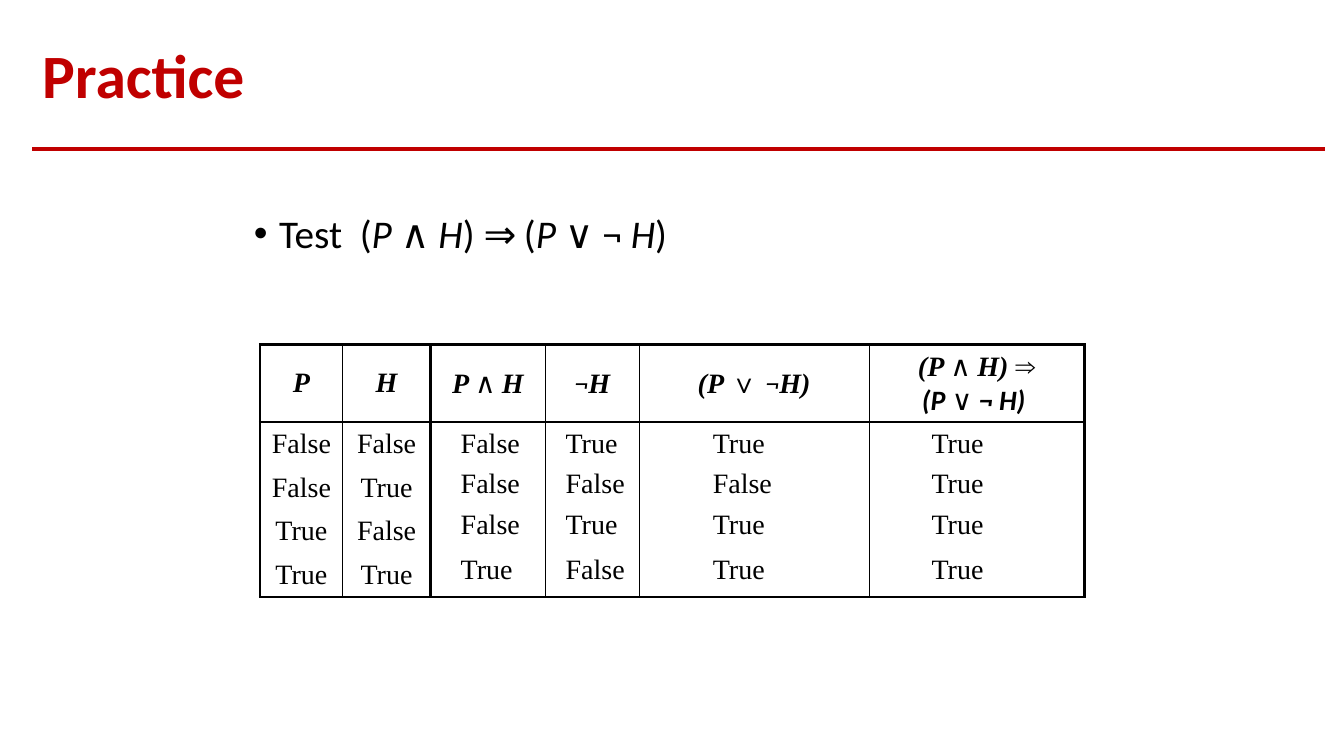
"""Build the slide with the truth table practice for an implication."""
from lxml.etree import SubElement
from pptx import Presentation
from pptx.dml.color import RGBColor
from pptx.enum.shapes import MSO_CONNECTOR
from pptx.enum.text import MSO_ANCHOR, PP_ALIGN
from pptx.oxml.ns import qn
from pptx.util import Inches, Pt

RED = RGBColor(0xC0, 0x00, 0x00)
BLACK = RGBColor(0x00, 0x00, 0x00)
SANS, SERIF = "Calibri", "Times New Roman"

PLAIN = {"bold": False}
SANS_PLAIN = {"font": SANS, "bold": False}
SANS_BOLD = {"font": SANS, "bold": True}
VARIABLE = {"italic": True}

TITLE = "Practice"
EXERCISE = [
    ("Test", {}), (" ", {"tracking": 6.3}), ("(", {}), ("P", VARIABLE), (" ∧ ", {}),
    ("H", VARIABLE), (") ⇒", {}), (" ", {"size": 24}), ("(", {}), ("P ", VARIABLE),
    ("∨ ¬ ", {}), ("H", VARIABLE), (")", {}),
]
HEADINGS = [
    [("P", {})],
    [("H", {})],
    [("P ", {}), ("∧ ", SANS_PLAIN), ("H", {})],
    [("¬", SANS_PLAIN), ("H", {})],
    [("(P ", {}), ("∨ ", PLAIN), ("¬", SANS_PLAIN), ("H)", {})],
    [("(P ", {}), ("∧ ", SANS_PLAIN), ("H) ", {}), ("⇒", PLAIN), ("\n", {}),
     ("(P ", SANS_BOLD), ("∨ ", SANS_PLAIN), ("¬ H) ", SANS_BOLD)],
]
INPUTS = [("False", "False"), ("False", "True"), ("True", "False"), ("True", "True")]
ANSWERS = {
    4.33: ["False", "False", "False", "True"],
    5.37: ["True", "False", "True", "False"],
    6.83: ["True", "False", "True", "True"],
    9.0: ["True", "True", "True", "True"],
}
ANSWER_TOPS = [4.17, 4.57, 4.98, 5.42]
ANSWER_INDENT = 0.24

COLUMN_WIDTHS = [0.82, 0.87, 1.14, 0.93, 2.28, 2.14]
ROW_HEIGHTS = [0.76] + [0.43] * len(INPUTS)
VERTICAL_RULES = [2.25, 0.75, 3, 0.75, 0.75, 0.75, 2.25]
HORIZONTAL_RULES = [2.25, 1, 0, 0, 0, 2.25]


def write(frame, text, *, size=20, font=SERIF, color=BLACK, bold=False, italic=False,
          align=PP_ALIGN.LEFT, line_spacing=None, bullet=None):
    """Write a string or a list of (text, format) runs into the first paragraph."""
    paragraph = frame.paragraphs[0]
    paragraph.alignment = align
    paragraph.line_spacing = line_spacing
    if bullet:
        properties = paragraph._p.get_or_add_pPr()
        properties.set("marL", str(Inches(0.25)))
        properties.set("indent", str(Inches(-0.25)))
        SubElement(properties, qn("a:buFont"), typeface="Arial")
        SubElement(properties, qn("a:buChar"), char=bullet)
    for words, style in [(text, {})] if isinstance(text, str) else text:
        if words == "\n":
            paragraph.add_line_break()
            continue
        run = paragraph.add_run()
        run.text = words
        run.font.size = Pt(style.get("size", size))
        run.font.name = style.get("font", font)
        run.font.bold = style.get("bold", bold)
        run.font.italic = style.get("italic", italic)
        run.font.color.rgb = color
        if "tracking" in style:
            run.font._element.set("spc", str(round(style["tracking"] * 100)))


def add_text(slide, box, text, *, anchor=MSO_ANCHOR.TOP, left_inset=0.1, **style):
    """Place a wrapping text box and write into it."""
    frame = slide.shapes.add_textbox(*map(Inches, box)).text_frame
    frame.word_wrap = True
    frame.vertical_anchor = anchor
    frame.margin_left = Inches(left_inset)
    write(frame, text, **style)


def rule_cell(cell, widths):
    """Draw the left, right, top and bottom borders of a cell."""
    properties = cell._tc.get_or_add_tcPr()
    for side, width in zip("LRTB", widths):
        line = SubElement(properties, qn(f"a:ln{side}"), w=str(Pt(width)))
        if width:
            fill = SubElement(line, qn("a:solidFill"))
            SubElement(fill, qn("a:srgbClr"), val=str(BLACK))
        else:
            SubElement(line, qn("a:noFill"))


def add_truth_table(slide):
    """Add the ruled grid with its headings and input values."""
    table = slide.shapes.add_table(
        len(ROW_HEIGHTS), len(COLUMN_WIDTHS), Inches(2.58), Inches(3.42),
        Inches(sum(COLUMN_WIDTHS)), Inches(sum(ROW_HEIGHTS))).table
    table.first_row = table.horz_banding = False
    for column, width in zip(table.columns, COLUMN_WIDTHS):
        column.width = Inches(width)
    for r, height in enumerate(ROW_HEIGHTS):
        table.rows[r].height = Inches(height)
        for c in range(len(COLUMN_WIDTHS)):
            cell = table.cell(r, c)
            rule_cell(cell, VERTICAL_RULES[c:c + 2] + HORIZONTAL_RULES[r:r + 2])
            cell.fill.background()
            cell.vertical_anchor = MSO_ANCHOR.MIDDLE
            if r == 0:
                write(cell.text_frame, HEADINGS[c], bold=True, italic=True,
                      align=PP_ALIGN.CENTER)
            elif c < len(INPUTS[r - 1]):
                write(cell.text_frame, INPUTS[r - 1][c], align=PP_ALIGN.CENTER)


def main():
    """Assemble and save the slide."""
    deck = Presentation()
    deck.slide_width, deck.slide_height = Inches(13.33), Inches(7.5)
    slide = deck.slides.add_slide(deck.slide_layouts[6])

    title_rule = slide.shapes.add_connector(
        MSO_CONNECTOR.STRAIGHT, Inches(0.32), Inches(1.48), Inches(13.14), Inches(1.48))
    title_rule.line.color.rgb = RED
    title_rule.line.width = Pt(2.5)
    SubElement(title_rule._element.spPr, qn("a:effectLst"))

    add_text(slide, (0.32, 0.28, 12.82, 1), TITLE, anchor=MSO_ANCHOR.MIDDLE,
             size=44, font=SANS, color=RED, bold=True, line_spacing=0.9)
    add_text(slide, (2.42, 2.08, 8.5, 0.92), EXERCISE,
             size=28, font=SANS, line_spacing=0.9, bullet="•")
    add_truth_table(slide)
    for left, values in ANSWERS.items():
        for top, value in zip(ANSWER_TOPS, values):
            add_text(slide, (left, top, 1.33, 0.43), value, left_inset=ANSWER_INDENT)

    deck.save("out.pptx")


if __name__ == "__main__":
    main()
